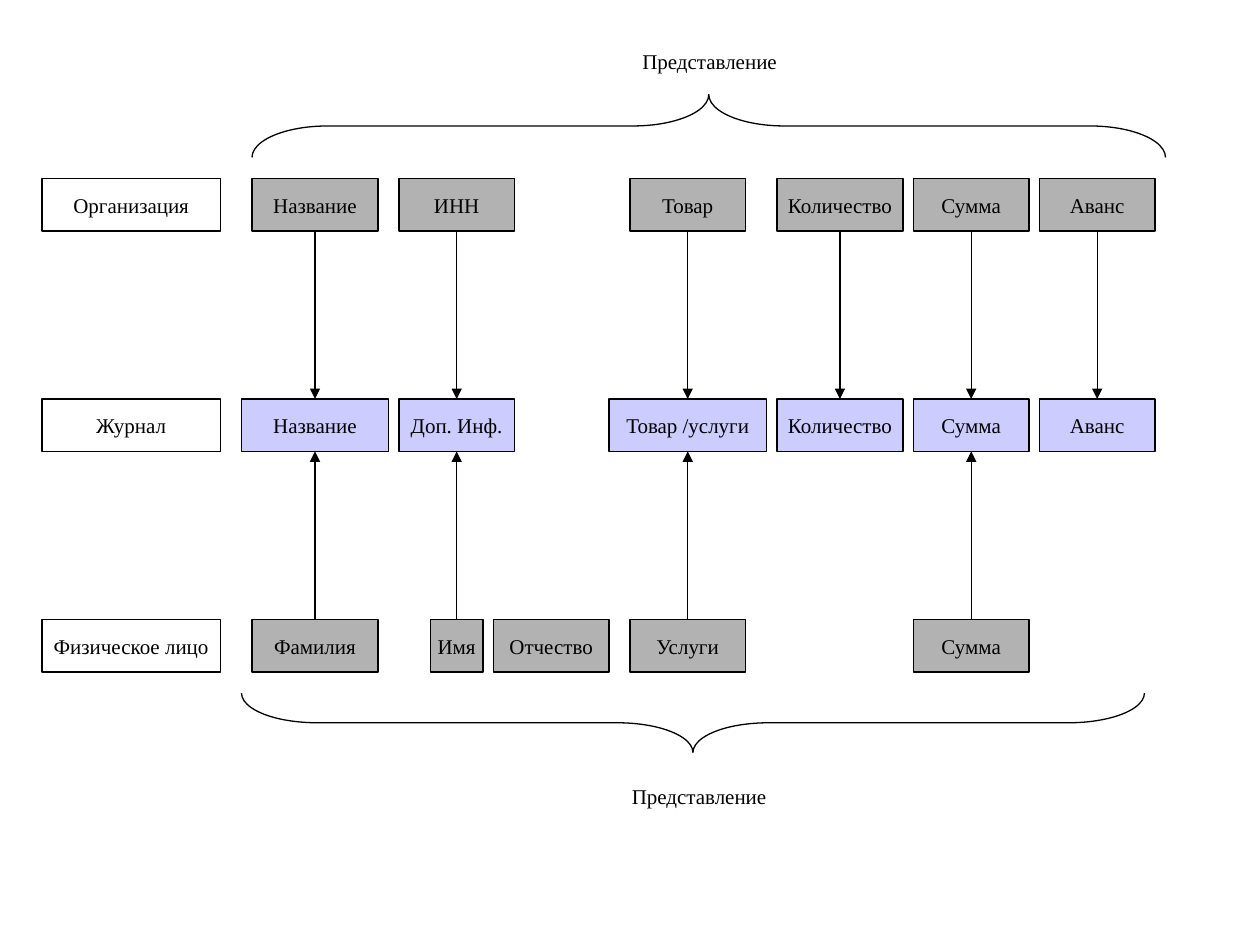
from dataclasses import dataclass

from lxml import etree
from pptx import Presentation
from pptx.dml.color import RGBColor
from pptx.enum.shapes import MSO_CONNECTOR, MSO_SHAPE
from pptx.enum.text import MSO_ANCHOR, MSO_AUTO_SIZE, PP_ALIGN
from pptx.oxml.ns import qn
from pptx.util import Pt

RECTANGLE, BRACE = MSO_SHAPE.RECTANGLE, MSO_SHAPE.LEFT_BRACE
STRAIGHT = MSO_CONNECTOR.STRAIGHT
LEFT, CENTER = PP_ALIGN.LEFT, PP_ALIGN.CENTER
TOP, MIDDLE = MSO_ANCHOR.TOP, MSO_ANCHOR.MIDDLE
GROW, FIXED = MSO_AUTO_SIZE.SHAPE_TO_FIT_TEXT, MSO_AUTO_SIZE.NONE
TOP_SITE, BOTTOM_SITE = 0, 2
POINT_UP, POINT_DOWN = 90, 270


@dataclass(frozen=True)
class Theme:
    font: str = "Times New Roman"
    size: float = 12
    line_width: float = 0.75
    ink: RGBColor = RGBColor(0x00, 0x00, 0x00)
    entity: RGBColor = RGBColor(0xFF, 0xFF, 0xFF)
    source_field: RGBColor = RGBColor(0xB2, 0xB2, 0xB2)
    journal_field: RGBColor = RGBColor(0xCC, 0xCC, 0xFF)


@dataclass(frozen=True)
class Box:
    left: float
    top: float
    width: float
    height: float

    def emu(self):
        return [Pt(v) for v in (self.left, self.top, self.width, self.height)]


THEME = Theme()
ROW_LEFT, ROW_WIDTH, ROW_HEIGHT = 24, 636, 30
FIRST_ROW_TOP, ROW_STEP = 102, 126
ENTITY_WIDTH = 102
BRACE_CURVE = 43.2

# Centre of each column, measured from the left edge of a row
COLUMNS = {"name": 156, "info": 237, "patronymic": 291, "goods": 369,
           "quantity": 456, "sum": 531, "advance": 603}

# Column: (label, width)
ORGANIZATION = {"name": ("Название", 72), "info": ("ИНН", 66),
                "goods": ("Товар", 66), "quantity": ("Количество", 72),
                "sum": ("Сумма", 66), "advance": ("Аванс", 66)}
JOURNAL = {"name": ("Название", 84), "info": ("Доп. Инф.", 66),
           "goods": ("Товар /услуги", 90), "quantity": ("Количество", 72),
           "sum": ("Сумма", 66), "advance": ("Аванс", 66)}
PERSON = {"name": ("Фамилия", 72), "info": ("Имя", 30),
          "patronymic": ("Отчество", 66), "goods": ("Услуги", 66),
          "sum": ("Сумма", 66)}
ROWS = [("Организация", ORGANIZATION, THEME.source_field),
        ("Журнал", JOURNAL, THEME.journal_field),
        ("Физическое лицо", PERSON, THEME.source_field)]


def write(shape, text, align, anchor, auto_size):
    frame = shape.text_frame
    frame.text = text
    frame_format = {"word_wrap": False, "vertical_anchor": anchor,
                    "auto_size": auto_size}
    for attribute, value in frame_format.items():
        setattr(frame, attribute, value)
    paragraph = frame.paragraphs[0]
    paragraph.alignment = align
    for attribute, value in {"name": THEME.font, "size": Pt(THEME.size)}.items():
        setattr(paragraph.font, attribute, value)
    paragraph.font.color.rgb = THEME.ink


def outline(shape):
    shape.line.color.rgb = THEME.ink
    shape.line.width = Pt(THEME.line_width)


def add_cell(slide, box, label, fill):
    cell = slide.shapes.add_shape(RECTANGLE, *box.emu())
    cell.shadow.inherit = False
    cell.fill.solid()
    cell.fill.fore_color.rgb = fill
    outline(cell)
    write(cell, label, CENTER, MIDDLE, FIXED)
    return cell


def add_row(slide, box, entity, fields, fill):
    """Draw an entity and its fields; return the field cells by column."""
    add_cell(slide, Box(box.left, box.top, ENTITY_WIDTH, box.height),
             entity, THEME.entity)
    cells = {}
    for column, (label, width) in fields.items():
        left = box.left + COLUMNS[column] - width / 2
        cells[column] = add_cell(
            slide, Box(left, box.top, width, box.height), label, fill)
    return cells


def add_arrow(slide, source, source_site, target, target_site):
    arrow = slide.shapes.add_connector(STRAIGHT, 0, 0, 0, 0)
    arrow.begin_connect(source, source_site)
    arrow.end_connect(target, target_site)
    outline(arrow)
    etree.SubElement(arrow.line._get_or_add_ln(), qn("a:tailEnd"), type="triangle")
    etree.SubElement(arrow._element.spPr, qn("a:effectLst"))


def add_mappings(slide, sources, source_site, journal, journal_site):
    """Link every source field to the journal field of the same column."""
    for column, cell in sources.items():
        if column in journal:
            add_arrow(slide, cell, source_site, journal[column], journal_site)


def add_brace(slide, box, rotation):
    """Fit a brace, turned by a quarter, into a horizontal box."""
    upright = Box(box.left + (box.width - box.height) / 2,
                  box.top + (box.height - box.width) / 2,
                  box.height, box.width)
    brace = slide.shapes.add_shape(BRACE, *upright.emu())
    brace.shadow.inherit = False
    brace.rotation = rotation
    brace.adjustments[0] = BRACE_CURVE / box.height
    brace.fill.background()
    outline(brace)


def add_caption(slide, box, text):
    caption = slide.shapes.add_textbox(*box.emu())
    write(caption, text, LEFT, TOP, GROW)


def add_mapping_slide(deck):
    slide = deck.slides.add_slide(deck.slide_layouts[6])
    organization, journal, person = [
        add_row(slide, Box(ROW_LEFT, FIRST_ROW_TOP + i * ROW_STEP,
                           ROW_WIDTH, ROW_HEIGHT), *row)
        for i, row in enumerate(ROWS)]
    add_mappings(slide, organization, BOTTOM_SITE, journal, TOP_SITE)
    add_mappings(slide, person, TOP_SITE, journal, BOTTOM_SITE)
    add_brace(slide, Box(138, 396, 516, 34), POINT_DOWN)
    add_brace(slide, Box(144, 54, 522, 36), POINT_UP)
    add_caption(slide, Box(354, 444, 91.4, 21.6), "Представление")
    add_caption(slide, Box(360, 24, 91.4, 21.6), "Представление")


def main():
    deck = Presentation()
    deck.slide_width, deck.slide_height = Pt(720), Pt(540)
    add_mapping_slide(deck)
    deck.save("out.pptx")


if __name__ == "__main__":
    main()
